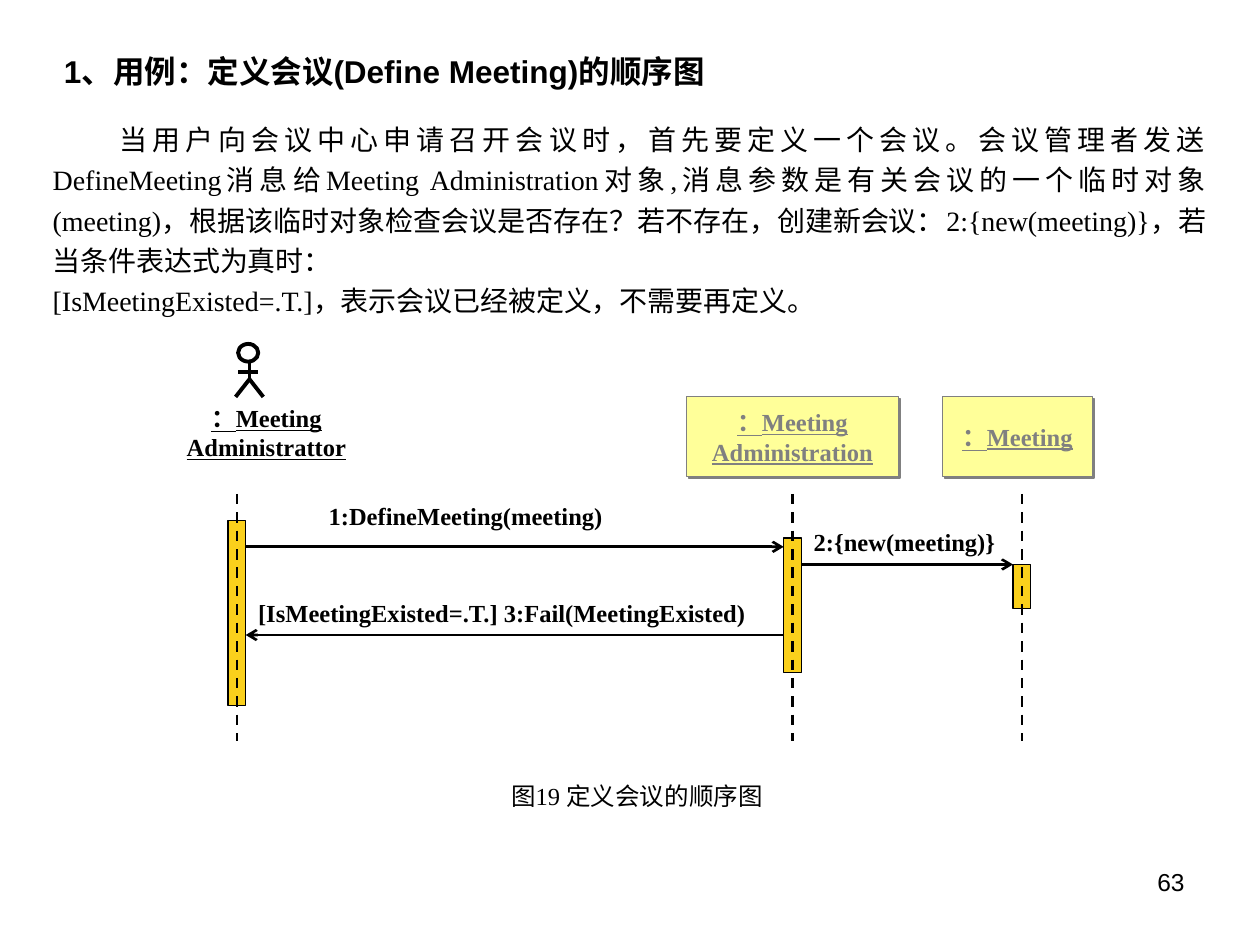
from lxml import etree
from pptx import Presentation
from pptx.dml.color import RGBColor
from pptx.enum.dml import MSO_LINE
from pptx.enum.shapes import MSO_CONNECTOR, MSO_SHAPE
from pptx.enum.text import MSO_ANCHOR, PP_ALIGN
from pptx.oxml.ns import qn
from pptx.util import Inches, Pt

LEFT, CENTER, RIGHT, JUSTIFY = PP_ALIGN.LEFT, PP_ALIGN.CENTER, PP_ALIGN.RIGHT, PP_ALIGN.JUSTIFY
MIDDLE, DASH, STRAIGHT = MSO_ANCHOR.MIDDLE, MSO_LINE.DASH, MSO_CONNECTOR.STRAIGHT
RECT, OVAL = MSO_SHAPE.RECTANGLE, MSO_SHAPE.OVAL
SERIF, SANS = "Times New Roman", "Arial"
BLACK, GRAY, GOLD, YELLOW = "000000", "808080", "FAD01C", "FFFF99"

TITLE = "1、用例：定义会议(Define Meeting)的顺序图"
BODY = [
    "当用户向会议中心申请召开会议时，首先要定义一个会议。会议管理者发送DefineMeeting消息给"
    "Meeting Administration对象,消息参数是有关会议的一个临时对象(meeting)，根据该临时对象"
    "检查会议是否存在？若不存在，创建新会议：2:{new(meeting)}，若当条件表达式为真时：",
    "[IsMeetingExisted=.T.]，表示会议已经被定义，不需要再定义。",
]
CAPTION = "图19 定义会议的顺序图"
PAGE = "63"
ACTOR = ["：Meeting", "Administrattor"]
OBJECTS = [
    (["：Meeting", "Administration"], 5.45, 1.68),
    (["：Meeting"], 7.48, 1.19),
]
LIFELINES = [(1.88, 4.13, 1.47), (6.29, 4.27, 1.07), (8.11, 4.48, 0.35)]
MESSAGES = [
    ("1:DefineMeeting(meeting)", 0, 1, 4.34, (2.51, 3.93, 2.87, 0.34)),
    ("2:{new(meeting)}", 1, 2, 4.48, (6.36, 4.13, 2.03, 0.34)),
    ("[IsMeetingExisted=.T.] 3:Fail(MeetingExisted)", 1, 0, 5.04, (1.95, 4.7, 4.49, 0.34)),
]
HEAD_TOP, HEAD_H = 3.15, 0.63
LIFE_TOP, LIFE_END = 3.92, 5.88
BAR_W = 0.14
FIGURE_X, HIP_Y, FOOT_Y = 1.98, 3.01, 3.15
FIGURE = [
    (FIGURE_X, 2.87, FIGURE_X, HIP_Y),
    (1.89, 2.95, 2.05, 2.95),
    (FIGURE_X, HIP_Y, FIGURE_X - 0.11, FOOT_Y),
    (FIGURE_X, HIP_Y, FIGURE_X + 0.11, FOOT_Y),
]


def rgb(color):
    return RGBColor.from_string(color)


def write(tf, lines, size=14, font=SERIF, color=BLACK, bold=False, underline=False, align=LEFT):
    for i, line in enumerate(lines):
        p = tf.paragraphs[0] if i == 0 else tf.add_paragraph()
        p.alignment = align
        r = p.add_run()
        r.text = line
        r.font.size, r.font.name = Pt(size), font
        r.font.bold, r.font.underline = bold, underline
        r.font.color.rgb = rgb(color)


def add_text(s, box, lines, **style):
    tf = s.shapes.add_textbox(*map(Inches, box)).text_frame
    tf.word_wrap = True
    write(tf, lines, **style)
    return tf


def add_shape(s, kind, box, fill, line, width):
    sp = s.shapes.add_shape(kind, *map(Inches, box))
    sp.shadow.inherit = False
    if fill:
        sp.fill.solid()
        sp.fill.fore_color.rgb = rgb(fill)
    else:
        sp.fill.background()
    sp.line.color.rgb = rgb(line)
    sp.line.width = Pt(width)
    return sp


def add_line(s, ends, width=1.5, dash=None, arrow=False):
    c = s.shapes.add_connector(STRAIGHT, *map(Inches, ends))
    c.line.color.rgb = rgb(BLACK)
    c.line.width = Pt(width)
    if dash:
        c.line.dash_style = dash
    spPr = c._element.spPr
    if arrow:
        etree.SubElement(spPr.find(qn("a:ln")), qn("a:tailEnd"), type="arrow")
    etree.SubElement(spPr, qn("a:effectLst"))


def add_object(s, lines, left, width):
    sp = add_shape(s, RECT, (left, HEAD_TOP, width, HEAD_H), YELLOW, GRAY, 0.75)
    effects = sp._element.spPr.find(qn("a:effectLst"))
    shadow = etree.SubElement(effects, qn("a:outerShdw"), dist=str(Pt(1.4)),
                              dir="2700000", algn="ctr", rotWithShape="0")
    etree.SubElement(shadow, qn("a:srgbClr"), val=GRAY)
    tf = sp.text_frame
    tf.word_wrap = False
    tf.vertical_anchor = MIDDLE
    write(tf, lines, color=GRAY, bold=True, underline=True, align=CENTER)


def main():
    """Build the sequence diagram slide for defining a meeting."""
    prs = Presentation()
    prs.slide_width, prs.slide_height = Inches(10), Inches(7.5)
    s = prs.slides.add_slide(prs.slide_layouts[6])

    tf = add_text(s, (0.41, 0, 8.5, 1.12), [TITLE], size=18, font=SANS, bold=True)
    tf.vertical_anchor = MIDDLE
    tf = add_text(s, (0.32, 0.87, 9.35, 1.7), BODY, size=16, align=JUSTIFY)
    for p in tf.paragraphs:
        p.line_spacing = 1.2
    tf.paragraphs[0]._p.get_or_add_pPr().set("indent", str(Inches(0.53)))

    add_shape(s, OVAL, (1.89, 2.73, 0.16, 0.14), None, BLACK, 2.25)
    for limb in FIGURE:
        add_line(s, limb, width=2.25)
    add_text(s, (1.24, HEAD_TOP, 1.75, 0.57), ACTOR, bold=True, underline=True, align=CENTER)
    for lines, left, width in OBJECTS:
        add_object(s, lines, left, width)

    for x, top, height in LIFELINES:
        add_shape(s, RECT, (x - BAR_W / 2, top, BAR_W, height), GOLD, BLACK, 0.75)
        add_line(s, (x, LIFE_TOP, x, LIFE_END), dash=DASH)

    for label, start, end, y, box in MESSAGES:
        side = BAR_W / 2 if end > start else -BAR_W / 2
        add_line(s, (LIFELINES[start][0] + side, y, LIFELINES[end][0] - side, y), arrow=True)
        add_text(s, box, [label], bold=True)

    add_text(s, (2.81, 6.15, 4.49, 0.34), [CAPTION], align=CENTER)
    add_text(s, (7.17, 6.83, 2.33, 0.52), [PAGE], font=SANS, align=RIGHT)
    prs.save("out.pptx")


if __name__ == "__main__":
    main()
